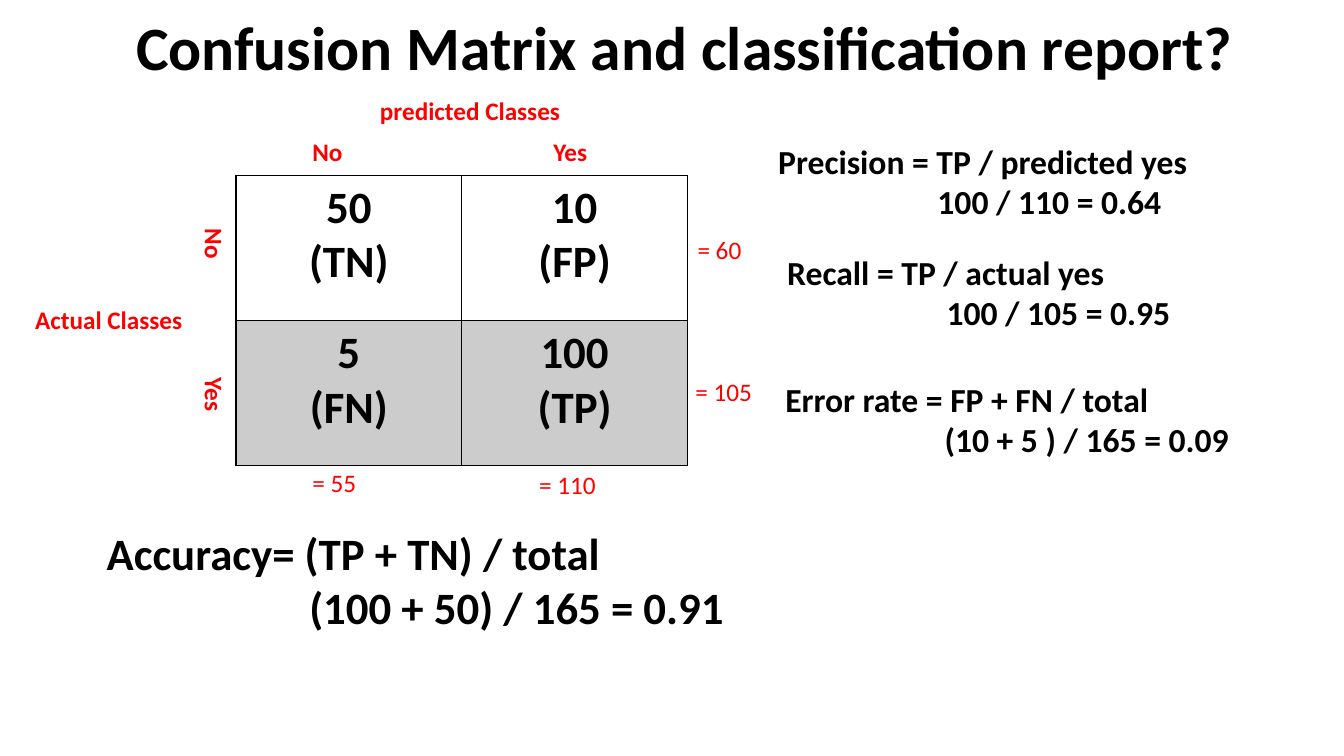
from lxml import etree
from pptx import Presentation
from pptx.dml.color import RGBColor
from pptx.enum import text as t
from pptx.oxml import ns
from pptx.util import Inches, Pt

BLACK = RGBColor(0, 0, 0)
RED = RGBColor(255, 0, 0)
FONT = "Calibri"

CELLS = [["50\n(TN)", "10\n(FP)"], ["5\n(FN)", "100\n(TP)"]]
# left, top, text
TOTALS = [
    (6.82, 2.28, "= 60"),
    (6.8, 3.68, "= 105"),
    (3, 4.59, "= 55"),
    (5.25, 4.61, "= 110"),
]
# left, top, formula, result
RATES = [
    (7.62, 1.35, "Precision = TP / predicted yes", "100 / 110 = 0.64"),
    (7.71, 2.45, "Recall = TP / actual yes", "100 / 105 = 0.95"),
    (7.69, 3.71, "Error rate = FP + FN / total", "(10 + 5 ) / 165 = 0.09"),
]


def add(parent, tag, **attrs):
    node = etree.SubElement(parent, ns.qn(tag))
    for key, val in attrs.items():
        node.set(key, str(val))
    return node


def write(frame, words, size=18, color=RED, bold=True, align=t.PP_ALIGN.LEFT,
          indent=0, tab=0):
    """Fill a frame, one paragraph a line; indent moves every line but the first."""
    frame.word_wrap = True
    for i, line in enumerate(words.split("\n")):
        par = frame.add_paragraph() if i else frame.paragraphs[0]
        par.alignment = align
        props = par._p.get_or_add_pPr()
        if indent and i:
            props.set("marL", str(Inches(indent)))
            props.set("indent", "0")
        if tab:
            add(add(props, "a:tabLst"), "a:tab", pos=Inches(tab), algn="l")
        run = par.add_run()
        run.text = line
        font = run.font
        font.name, font.size, font.bold = FONT, Pt(size), bold
        font.color.rgb = color


def label(slide, left, top, words, height=0.4, turn=0, **style):
    box = slide.shapes.add_textbox(
        Inches(left), Inches(top), Inches(6.66), Inches(height))
    box.rotation = turn
    write(box.text_frame, words, **style)


def border(cell):
    props = cell._tc.get_or_add_tcPr()
    for side in "LRTB":
        line = add(props, f"a:ln{side}", w=Pt(1))
        add(add(line, "a:solidFill"), "a:srgbClr", val=BLACK)


def shade(cell, alpha):
    cell.fill.solid()
    cell.fill.fore_color.rgb = BLACK
    color = cell._tc.tcPr.find(ns.qn("a:solidFill"))[0]
    add(color, "a:alpha", val=alpha * 1000)


def matrix(slide):
    table = slide.shapes.add_table(
        2, 2, Inches(2.34), Inches(1.74), Inches(4.48), Inches(2.88)).table
    table.first_row = table.horz_banding = False
    for r, row in enumerate(CELLS):
        for c, words in enumerate(row):
            cell = table.cell(r, c)
            write(cell.text_frame, words, size=32, color=BLACK,
                  align=t.PP_ALIGN.CENTER)
            border(cell)
            if r:
                shade(cell, 20)
            else:
                cell.fill.background()


def heading(slide, words):
    title = slide.shapes.title
    title.left, title.top = Inches(1.25), Inches(-0.22)
    title.width, title.height = Inches(11.5), Inches(1.45)
    frame = title.text_frame
    write(frame, words, size=44, color=BLACK)
    frame.auto_size = t.MSO_AUTO_SIZE.NONE
    frame.vertical_anchor = t.MSO_ANCHOR.MIDDLE
    frame.paragraphs[0].line_spacing = 0.9


def main():
    deck = Presentation()
    deck.slide_width, deck.slide_height = Inches(13.33), Inches(7.5)
    slide = deck.slides.add_slide(deck.slide_layouts[5])
    heading(slide, "Confusion Matrix and classification report?")
    matrix(slide)
    label(slide, 0.25, 2.97, "Actual Classes")
    label(slide, 3.67, 0.9, "predicted Classes")
    label(slide, 3, 1.3, "No\tYes", tab=2.39)
    label(slide, -1.2, 5.3, "No\tYes", turn=90, tab=1.48)
    label(slide, 0.96, 5.17,
          "Accuracy= (TP + TN) / total\n(100 + 50) / 165 = 0.91",
          height=1.18, size=32, color=BLACK, indent=2.01)
    for left, top, rule, result in RATES:
        label(slide, left, top, f"{rule}\n{result}",
              height=0.91, size=24, color=BLACK, indent=1.58)
    for left, top, words in TOTALS:
        label(slide, left, top, words, bold=False)
    deck.save("out.pptx")


if __name__ == "__main__":
    main()
